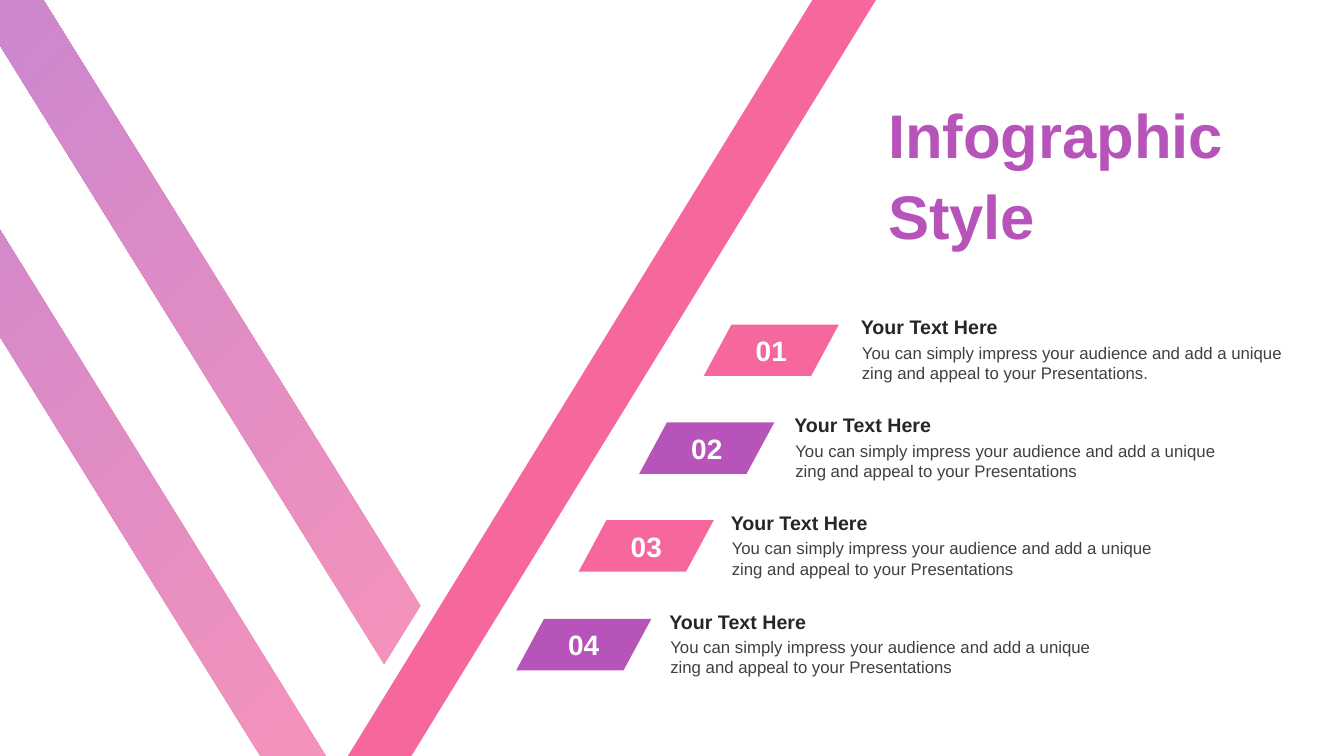
from lxml.etree import SubElement
from pptx import Presentation
from pptx.dml.color import RGBColor
from pptx.enum.shapes import MSO_SHAPE as Shape
from pptx.enum.text import MSO_ANCHOR as Anchor, MSO_AUTO_SIZE as Fit, PP_ALIGN as Align
from pptx.oxml.ns import qn
from pptx.util import Pt

PX = 9144  # 100 px to the inch
PINK = RGBColor(0xF5, 0x67, 0x9D)
PURPLE = RGBColor(0xB7, 0x54, 0xBA)
WHITE = RGBColor(0xFF, 0xFF, 0xFF)
DARK = RGBColor(0x26, 0x26, 0x26)
GREY = RGBColor(0x40, 0x40, 0x40)

BODY = "You can simply impress your audience and add a unique zing and appeal to your Presentations"
# Left edge of tag, left edge of text, body
ITEMS = [
    (698, 844, BODY + "."),
    (634, 778, BODY),
    (574, 715, BODY),
    (512, 654, BODY),
]
BANDS = [
    [(0, 228), (324, 751), (323, 753), (260, 753), (0, 334)],
    [(0, 0), (43, 0), (417, 601), (381, 659), (0, 45)],
]


def emu(*box):
    return [n * PX for n in box]


def style(para, size, color, bold=False):
    for run in para.runs:
        font = run.font
        font.name, font.size, font.bold = "Arial", Pt(size), bold
        font.color.rgb = color


def add_text(slide, box, text, size, color, bold=False):
    frame = slide.shapes.add_textbox(*emu(*box)).text_frame
    frame.word_wrap = True
    frame.text = text
    style(frame.paragraphs[0], size, color, bold)
    return frame


def add_slant(slide, box, adjust, color):
    slant = slide.shapes.add_shape(Shape.PARALLELOGRAM, *emu(*box))
    slant.adjustments[0] = adjust
    slant.shadow.inherit = False
    slant.fill.solid()
    slant.fill.fore_color.rgb = color
    slant.line.fill.background()
    return slant


def add_bands(slide, left, top):
    """Two translucent gradient bands falling to the right."""
    pen = slide.shapes.build_freeform(*BANDS[0][0], scale=PX)
    pen.add_line_segments(BANDS[0][1:], close=True)
    for band in BANDS[1:]:
        pen.move_to(*band[0])
        pen.add_line_segments(band[1:], close=True)
    bands = pen.convert_to_shape(*emu(left, top))
    bands.shadow.inherit = False
    bands.line.fill.background()
    bands.fill.gradient()
    bands.fill.gradient_angle = 135
    for stop, color, place in zip(bands.fill.gradient_stops, (PINK, PURPLE), (0, 1)):
        stop.color.rgb = color
        stop.position = place
    grad = bands._element.spPr.find(qn("a:gradFill"))
    for color in grad.iter(qn("a:srgbClr")):
        SubElement(color, qn("a:alpha"), val="70000")


def add_item(slide, left, top, text_left, label, body, color):
    """Numbered tag with its heading and body."""
    tag = add_slant(slide, (left, top, 134, 51), 0.54, color)
    frame = tag.text_frame
    frame.word_wrap = False
    frame.vertical_anchor = Anchor.MIDDLE
    frame.text = label
    frame.paragraphs[0].alignment = Align.CENTER
    style(frame.paragraphs[0], 20, WHITE, True)

    frame = add_text(slide, (text_left + 1, top + 13, 447, 50), body, 12, GREY)
    frame.auto_size = Fit.SHAPE_TO_FIT_TEXT
    frame = add_text(slide, (text_left, top - 14, 443, 34), "Your Text Here", 14, DARK, True)
    frame.auto_size = Fit.SHAPE_TO_FIT_TEXT


def add_list(slide, top, height):
    for i, (left, text_left, body) in enumerate(ITEMS):
        y = top + i * height // (len(ITEMS) - 1)
        add_item(slide, left, y, text_left, f"{i + 1:02}", body, (PINK, PURPLE)[i % 2])


def add_title(slide, box):
    frame = add_text(slide, box, "Infographic Style", 44, PURPLE, True)
    frame.vertical_anchor = Anchor.MIDDLE
    frame.paragraphs[0].line_spacing = 1.1


def main():
    deck = Presentation()
    deck.slide_width, deck.slide_height = emu(1333, 750)
    slide = deck.slides.add_slide(deck.slide_layouts[6])
    add_bands(slide, 0, 0)
    add_list(slide, 322, 292)
    add_slant(slide, (345, -2, 525, 752), 0.88, PINK)
    add_title(slide, (871, 50, 412, 239))
    deck.save("out.pptx")


if __name__ == "__main__":
    main()
